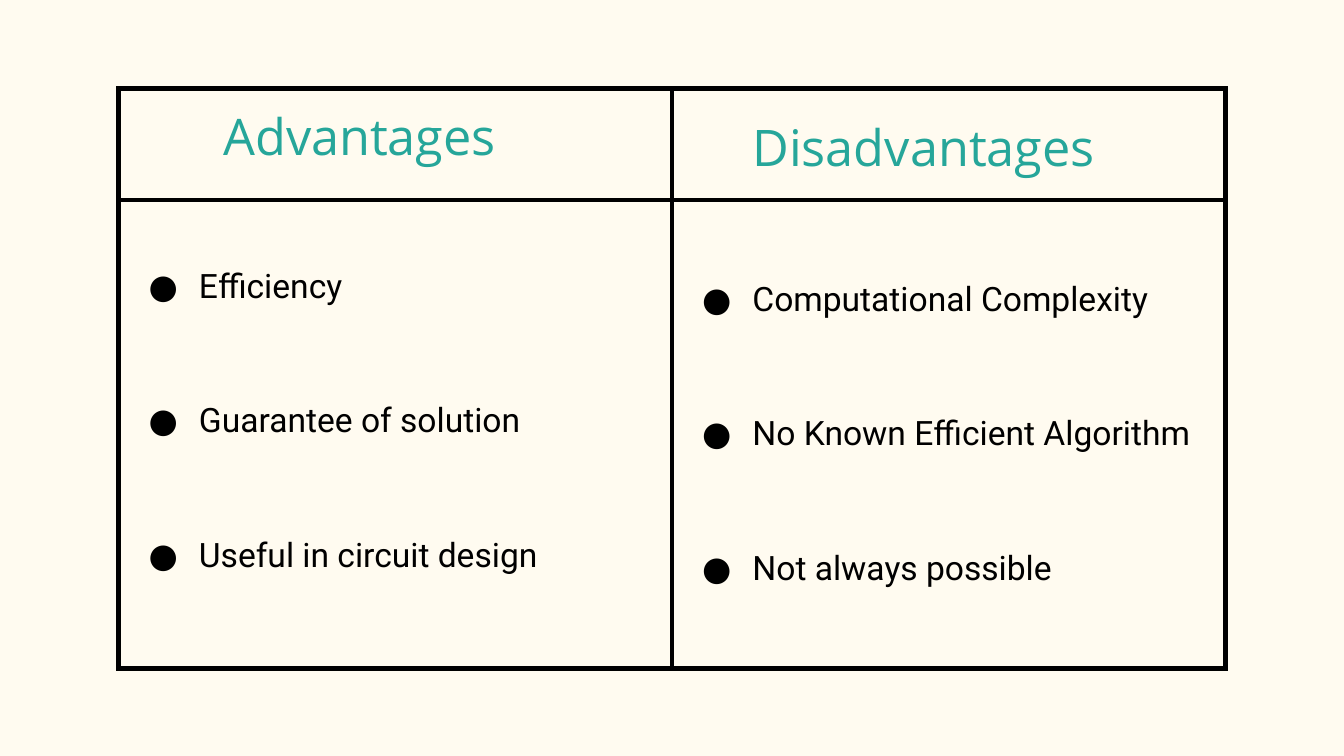
from lxml import etree
from pptx import Presentation
from pptx import util as u
from pptx.dml.color import RGBColor
from pptx.enum import text
from pptx.oxml import ns

HUES = {"page": "FFFBF0", "ink": "000000", "head": "26A69A"}


class Deck:
    def __init__(self, wide, high):
        self.show = Presentation()
        self.show.slide_width = u.Cm(wide)
        self.show.slide_height = u.Cm(high)
        self.slide = self.show.slides.add_slide(self.show.slide_layouts[6])
        fill = self.slide.background.fill
        fill.solid()
        fill.fore_color.rgb = self.hue("page")

    def hue(self, name):
        return RGBColor.from_string(HUES[name])

    def node(self, top, tag, **attrs):
        return etree.SubElement(top, ns.qn("a:" + tag), **attrs)

    def grid(self, left, top, cols, rows):
        frame = self.slide.shapes.add_table(
            len(rows), len(cols), u.Cm(left), u.Cm(top),
            u.Cm(sum(cols)), u.Cm(sum(rows)))
        table = frame.table
        table.first_row = table.horz_banding = False
        for col, size in zip(table.columns, cols):
            col.width = u.Cm(size)
        for row, size in zip(table.rows, rows):
            row.height = u.Cm(size)
        for cell in table.iter_cells():
            self.frame(cell)
        return table

    def frame(self, cell):
        cell.fill.background()
        cell.margin_left = cell.margin_right = u.Cm(0.25)
        cell.margin_top = cell.margin_bottom = u.Cm(0.25)
        props = cell._tc.get_or_add_tcPr()
        for spot, side in enumerate("LRTB"):
            line = etree.Element(ns.qn("a:ln" + side), w=str(u.Pt(3)))
            fill = self.node(line, "solidFill")
            self.node(fill, "srgbClr", val=HUES["ink"])
            props.insert(spot, line)

    def style(self, para, font, size, hue):
        for run in para.runs:
            run.font.name = font
            run.font.size = u.Pt(size)
            run.font.color.rgb = self.hue(hue)

    def head(self, cell, words, indent, space):
        cell.text_frame.text = words
        para = cell.text_frame.paragraphs[0]
        para.line_spacing = space
        para._p.get_or_add_pPr().set("marL", str(u.Cm(indent)))
        self.style(para, "Open Sans", 27, "head")

    def list(self, cell, items):
        cell.text_frame.text = "\n".join(items)
        for spot, para in enumerate(cell.text_frame.paragraphs):
            para.space_before = u.Pt(51 if spot else 0)
            props = para._p.get_or_add_pPr()
            props.set("marL", str(u.Cm(1.27)))
            props.set("indent", str(u.Cm(-0.95)))
            tint = self.node(props, "buClr")
            self.node(tint, "srgbClr", val=HUES["ink"])
            self.node(props, "buFont", typeface="Roboto")
            self.node(props, "buChar", char="●")
            self.style(para, "Roboto", 18, "ink")


deck = Deck(25.4, 14.29)
table = deck.grid(2.24, 1.68, [10.46, 10.46], [2.1, 8.86])
sides = [
    ("Advantages", 1.73, 1.0,
     ["Efficiency", "Guarantee of solution", "Useful in circuit design"]),
    ("Disadvantages", 1.27, 1.15,
     ["Computational Complexity", "No Known Efficient Algorithm",
      "Not always possible"]),
]
for col, (title, indent, space, items) in enumerate(sides):
    deck.head(table.cell(0, col), title, indent, space)
    deck.list(table.cell(1, col), items)
table.cell(1, 0).margin_top = u.Cm(1.27)
table.cell(1, 1).vertical_anchor = text.MSO_ANCHOR.MIDDLE
deck.show.save("out.pptx")
